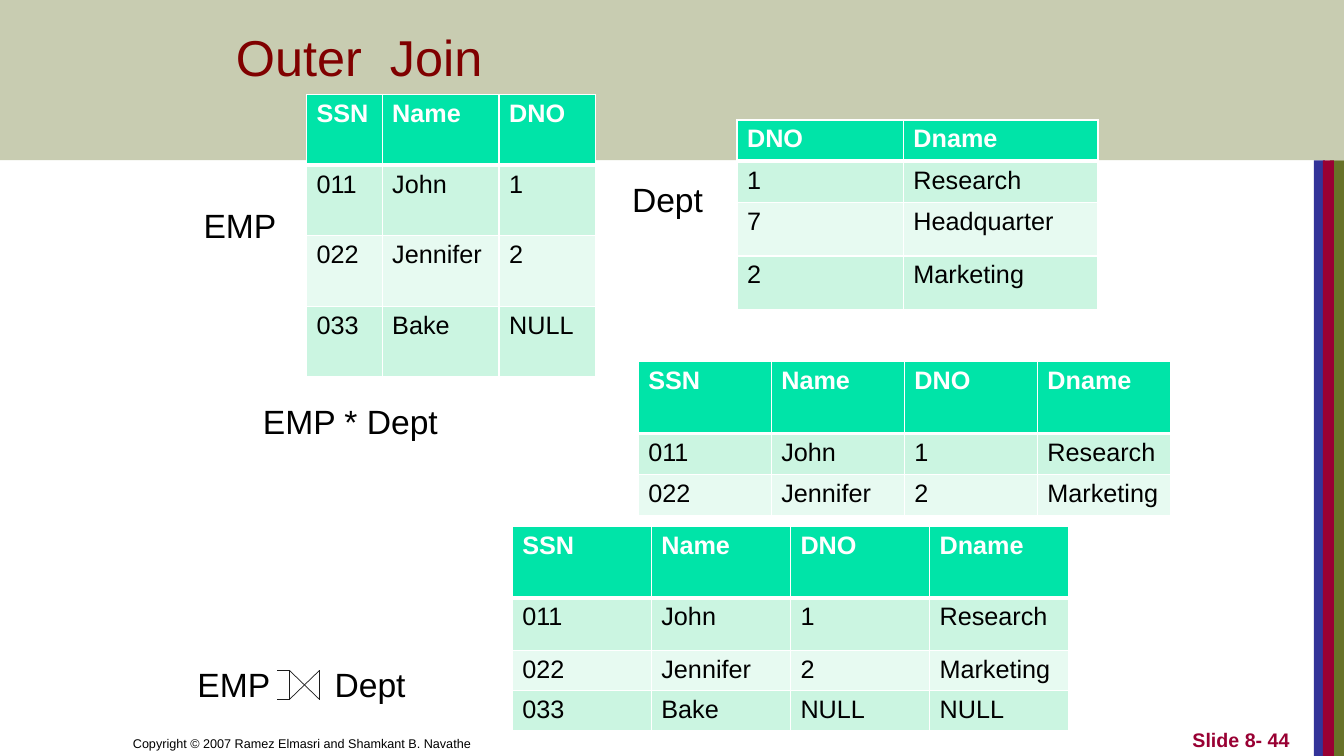
"""Build the Outer Join slide with its source and result tables."""
from lxml import etree
from pptx import Presentation
from pptx.dml.color import RGBColor
from pptx.enum.shapes import MSO_CONNECTOR, MSO_SHAPE
from pptx.enum.text import MSO_ANCHOR, PP_ALIGN
from pptx.oxml.ns import qn
from pptx.util import Emu, Pt

PX = 9144
SLIDE_WIDTH, SLIDE_HEIGHT = 1333, 750
BAND_HEIGHT = 159
FONT = "Arial"
RECTANGLE = MSO_SHAPE.RECTANGLE
STRAIGHT = MSO_CONNECTOR.STRAIGHT
TOP, BOTTOM = MSO_ANCHOR.TOP, MSO_ANCHOR.BOTTOM
LEFT, RIGHT = PP_ALIGN.LEFT, PP_ALIGN.RIGHT
COLORS = {
    "olive": "677228", "blue": "333399", "crimson": "990033",
    "title": "800000", "text": "000000", "symbol": "1C1C1C",
    "white": "FFFFFF", "header": "00E4A8", "odd": "CBF5E1", "even": "E7FAF1",
}
EMP = [["SSN", "Name", "DNO"], ["011", "John", "1"],
       ["022", "Jennifer", "2"], ["033", "Bake", "NULL"]]
DEPT = [["DNO", "Dname"], ["1", "Research"],
        ["7", "Headquarter"], ["2", "Marketing"]]
NATURAL_JOIN = [["SSN", "Name", "DNO", "Dname"],
                ["011", "John", "1", "Research"],
                ["022", "Jennifer", "2", "Marketing"]]
OUTER_JOIN = NATURAL_JOIN + [["033", "Bake", "NULL", "NULL"]]


def px(*lengths):
    return [Emu(length * PX) for length in lengths]


def color(name):
    return RGBColor.from_string(COLORS[name])


def style_text(text_frame, size, color_name, bold=False, align=LEFT):
    paragraph = text_frame.paragraphs[0]
    paragraph.alignment = align
    for run in paragraph.runs:
        run.font.name = FONT
        run.font.size = Pt(size)
        run.font.bold = bold
        run.font.color.rgb = color(color_name)


def add_bar(slide, box, color_name, opacity=100):
    bar = slide.shapes.add_shape(RECTANGLE, *px(*box))
    bar.shadow.inherit = False
    bar.fill.solid()
    bar.fill.fore_color.rgb = color(color_name)
    bar.line.fill.background()
    if opacity < 100:
        fill_color = bar.element.spPr.find(".//" + qn("a:srgbClr"))
        etree.SubElement(fill_color, qn("a:alpha"), val=str(opacity * 1000))


def set_title(slide, text, box):
    title = slide.shapes.title
    title.left, title.top, title.width, title.height = px(*box)
    title.text_frame.text = text
    title.text_frame.vertical_anchor = BOTTOM
    style_text(title.text_frame, 36, "title")
    title.element.getparent().append(title.element)


def add_label(slide, box, text, size=24, color_name="text", bold=False,
              align=LEFT, anchor=TOP, tab=None):
    text_frame = slide.shapes.add_textbox(*px(*box)).text_frame
    text_frame.word_wrap = True
    text_frame.vertical_anchor = anchor
    text_frame.text = text
    if tab:
        properties = text_frame.paragraphs[0]._p.get_or_add_pPr()
        tabs = etree.SubElement(properties, qn("a:tabLst"))
        etree.SubElement(tabs, qn("a:tab"), pos=str(tab * PX), algn="l")
    style_text(text_frame, size, color_name, bold, align)


def set_borders(cell, row):
    widths = {"L": 1, "R": 1, "T": 3 if row == 1 else 1, "B": 3 if row == 0 else 1}
    properties = cell._tc.get_or_add_tcPr()
    for side, width in widths.items():
        line = etree.SubElement(properties, qn("a:ln" + side), w=str(Pt(width)))
        fill = etree.SubElement(line, qn("a:solidFill"))
        etree.SubElement(fill, qn("a:srgbClr"), val=COLORS["white"])


def add_relation(slide, left, top, widths, heights, rows):
    box = px(left, top, sum(widths), sum(heights))
    table = slide.shapes.add_table(len(rows), len(widths), *box).table
    for column, width in zip(table.columns, px(*widths)):
        column.width = width
    for table_row, height in zip(table.rows, px(*heights)):
        table_row.height = height
    for row, values in enumerate(rows):
        is_header = row == 0
        fill_name = "header" if is_header else "odd" if row % 2 else "even"
        for column, value in enumerate(values):
            cell = table.cell(row, column)
            set_borders(cell, row)
            cell.fill.solid()
            cell.fill.fore_color.rgb = color(fill_name)
            cell.text_frame.text = value
            style_text(cell.text_frame, 18, "white" if is_header else "text", is_header)


def add_outer_join_symbol(slide, left, top, right, bottom, tick):
    segments = [
        (left, top, left, bottom), (right, top, right, bottom),
        (left, top, right, bottom), (right, top, left, bottom),
        (left, bottom, left - tick, bottom), (left, top, left - tick, top),
    ]
    for segment in segments:
        line = slide.shapes.add_connector(STRAIGHT, *px(*segment))
        line.line.color.rgb = color("symbol")
        line.line.width = Pt(0.5)
        etree.SubElement(line.element.spPr, qn("a:effectLst"))


def main():
    presentation = Presentation()
    presentation.slide_width, presentation.slide_height = px(SLIDE_WIDTH, SLIDE_HEIGHT)
    slide = presentation.slides.add_slide(presentation.slide_layouts[5])

    for left, width, name in [(1319, 14, "olive"), (1303, 11, "blue"), (1312, 11, "crimson")]:
        add_bar(slide, (left, BAND_HEIGHT, width, SLIDE_HEIGHT - BAND_HEIGHT), name)
    add_bar(slide, (0, 0, SLIDE_WIDTH, BAND_HEIGHT), "olive", opacity=36)
    set_title(slide, "Outer  Join", (224, 10, 839, 81))

    add_label(slide, (122, 700, 656, 50),
              "Copyright © 2007 Ramez Elmasri and Shamkant B. Navathe",
              size=9, anchor=BOTTOM)
    add_label(slide, (1011, 700, 278, 50), "Slide 8- 44", size=14,
              color_name="crimson", bold=True, align=RIGHT, anchor=BOTTOM)

    add_relation(slide, 304, 94, [75, 116, 96], [70] * 4, EMP)
    add_relation(slide, 731, 119, [165, 193], [41, 41, 53, 53], DEPT)
    add_relation(slide, 633, 359, [132] * 4, [71, 41, 40], NATURAL_JOIN)
    add_relation(slide, 508, 522, [138] * 4, [71, 52, 40, 40], OUTER_JOIN)

    add_label(slide, (192, 198, 118, 51), "EMP")
    add_label(slide, (617, 173, 95, 51), "Dept")
    add_label(slide, (251, 393, 200, 51), "EMP * Dept")
    add_label(slide, (186, 654, 265, 50), "EMP\tDept", tab=136)
    add_outer_join_symbol(slide, 287, 665, 317, 694, tick=12)

    presentation.save("out.pptx")


if __name__ == "__main__":
    main()
